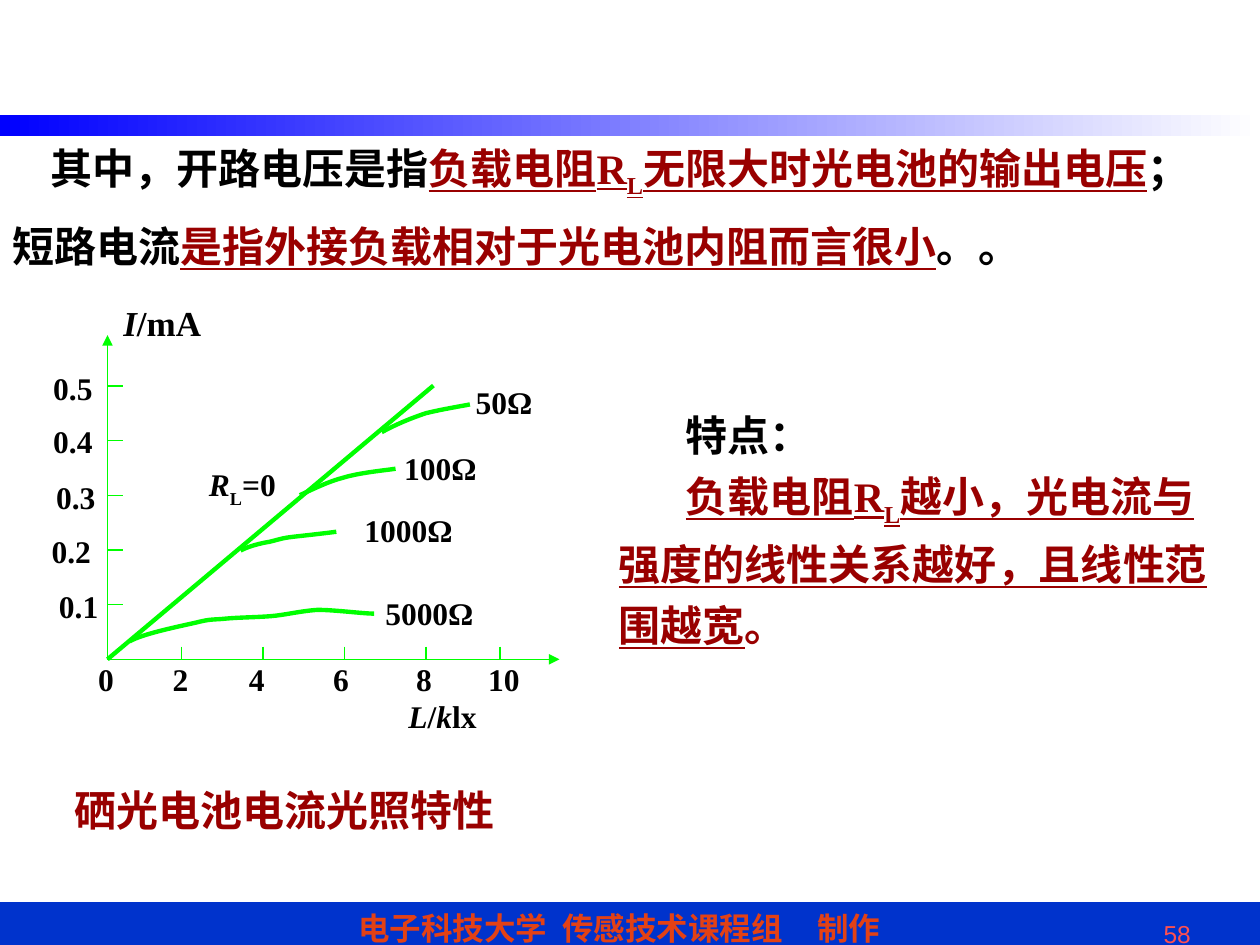
import pptx
import pptx.dml.color
import pptx.enum.dml
import pptx.enum.shapes
import pptx.enum.text
import pptx.oxml.ns
import pptx.util
from lxml import etree

# ---- Content: all lengths are cells of a 100 x 75 grid ----
COLUMNS, ROWS = 100, 75
WIDTH, HEIGHT = pptx.util.Inches(10), pptx.util.Inches(7.5)
COLORS = {"black": "000000", "red": "990000", "green": "00FF00", "blue": "0033CC",
          "bar": "0000FF", "white": "FFFFFF", "footer": "E34115", "number": "FF5050"}
ALIGN = pptx.enum.text.PP_ALIGN
ROMAN, SANS = "Times New Roman", "Arial"

PLAIN = {"name": ROMAN, "size": 18, "bold": True, "color": "black"}
ITALIC = {"italic": True}
LARGE = {"size": 24}
KEY = {"size": 24, "color": "red", "underline": True}
CAPTION = {"size": 24, "name": SANS, "color": "red"}
FOOTER = {"name": SANS, "color": "footer"}
NUMBER = {"name": SANS, "size": 14, "bold": False, "color": "number"}

FOOTER_LINE = [
    ("电子科技大学", FOOTER), (" ", {**FOOTER, "spc": 450}), ("传感技术课程组", FOOTER),
    (" ", {**FOOTER, "spc": 1560}), ("制作", FOOTER),
]
DEFINITIONS = [
    [("其中，开路电压是指", LARGE), ("负载电阻R", KEY), ("L", {**KEY, "baseline": -25000}),
     ("无限大时光电池的输出电压", KEY), ("；", LARGE)],
    [("短路电流", LARGE), ("是指外接负载相对于光电池内阻而言很小", KEY), ("。。", LARGE)],
]
FEATURES = [
    [("特点：", LARGE)],
    [("负载电阻R", KEY), ("L", {**KEY, "baseline": -25000}), ("越小，光电流与", KEY)],
    [("强度的线性关系越好，且线性范", KEY)],
    [("围越宽", KEY), ("。", {**LARGE, "color": "red"})],
]

# Axes of the diagram
ORIGIN, X_END, Y_END = (8.53, 52.33), 44.4, 26.6
Y_STEP, TICK_X, TICK_Y = 4.34, 1.2, 1.0
X_TICKS = [14.4, 20.87, 27.34, 33.82, 39.68]
X_LABELS = [("0", 6.8), ("2", 12.72), ("4", 18.77), ("6", 25.45), ("8", 32.05), ("10", 37.75)]
Y_LABELS = [("0.1", 3.7, 46.1), ("0.2", 3.12, 41.7), ("0.3", 3.47, 37.45),
            ("0.4", 3.24, 33), ("0.5", 3.24, 28.8)]

# Each curve: start point, then control, control, end of every cubic piece
CURVES = [
    [(10.3, 50.9), (11.3, 50.3), (14.3, 49.7), (15.6, 49.4), (16.8, 49.1), (16.9, 49.2),
     (17.9, 49.1), (18.9, 49), (20.2, 49), (21.5, 48.9), (22.7, 48.8), (23.8, 48.5),
     (25.2, 48.4), (26.6, 48.4), (28.8, 48.7), (29.7, 48.7)],
    [(19.1, 43.7), (19.6, 43.4), (20.7, 43.1), (21.4, 43), (22.2, 42.8), (22.4, 42.7),
     (23.3, 42.6), (24.2, 42.5), (26, 42.3), (26.7, 42.2)],
    [(23.8, 39.3), (24.9, 38.8), (26.1, 38.2), (27.3, 37.9), (28.6, 37.5), (30.8, 37.3),
     (31.4, 37.2)],
    [(30.3, 34.3), (31.4, 33.7), (32.6, 33.2), (33.8, 32.8), (35, 32.5), (36.8, 32.2),
     (37.3, 32.1)],
]
PLOT_LABELS = [
    ((8.8, 23.4, 8.5, 4.2), [("I", {"size": 20, **ITALIC}), ("/mA", {"size": 20})]),
    ((31.43, 54.8, 7.5, 3.6), [("L", ITALIC), ("/", {}), ("k", ITALIC), ("lx", {})]),
    ((36.77, 29.94, 13.5, 5.1), [("50Ω", {})]),
    ((31.1, 35.14, 10.4, 3.3), [("100Ω", {})]),
    ((27.94, 40.04, 13.8, 5), [("1000Ω", {})]),
    ((29.6, 46.66, 11, 3.4), [("5000Ω", {})]),
    ((15.6, 36.4, 9.2, 3.8), [("R", ITALIC), ("L", {"baseline": -30000}), ("=0", {})]),
]

deck = pptx.Presentation()
deck.slide_width, deck.slide_height = WIDTH, HEIGHT
page = deck.slides.add_slide(deck.slide_layouts[6])


# ---- Helpers ----
def across(value):
    return round(value * WIDTH / COLUMNS)


def down(value):
    return round(value * HEIGHT / ROWS)


def place(area):
    left, top, width, height = area
    return across(left), down(top), across(width), down(height)


def color(name):
    return pptx.dml.color.RGBColor.from_string(COLORS[name])


def write(box, paragraphs, align=ALIGN.LEFT, indent=0, indented=0, **spacing):
    """Fill a box; the first `indented` paragraphs get a first-line indent."""
    frame = box.text_frame
    frame.word_wrap = True
    frame.vertical_anchor = pptx.enum.text.MSO_ANCHOR.TOP
    for index, spans in enumerate(paragraphs):
        para = frame.add_paragraph() if index else frame.paragraphs[0]
        para.alignment = align
        for key, value in spacing.items():
            if index or key != "space_before":
                setattr(para, key, value)
        if index < indented:
            para._p.get_or_add_pPr().set("indent", str(across(indent)))
        for text, changes in spans:
            span = para.add_run()
            span.text = text
            style = {**PLAIN, **changes}
            span.font.color.rgb = color(style.pop("color"))
            span.font.size = pptx.util.Pt(style.pop("size"))
            for key, value in style.items():
                if key in ("baseline", "spc"):
                    span._r.get_or_add_rPr().set(key, str(value))
                else:
                    setattr(span.font, key, value)


def add_text(area, paragraphs, **layout):
    write(page.shapes.add_textbox(*place(area)), paragraphs, **layout)


def add_bar(area):
    bar = page.shapes.add_shape(pptx.enum.shapes.MSO_SHAPE.RECTANGLE, *place(area))
    bar.shadow.inherit = False
    return bar


def add_line(start, end, weight=0.75, arrow=False):
    line = page.shapes.add_connector(
        pptx.enum.shapes.MSO_CONNECTOR.STRAIGHT,
        across(start[0]), down(start[1]), across(end[0]), down(end[1]))
    line.line.color.rgb = color("green")
    line.line.width = pptx.util.Pt(weight)
    if arrow:
        etree.SubElement(line.line._get_or_add_ln(), pptx.oxml.ns.qn("a:tailEnd"), type="triangle")
    etree.SubElement(line._element.spPr, pptx.oxml.ns.qn("a:effectLst"))


def add_curve(knots):
    """Draw the knots as segments, then join every three into one cubic piece."""
    start, *points = [(across(x), down(y)) for x, y in knots]
    builder = page.shapes.build_freeform(*start)
    builder.add_line_segments(points, close=False)
    curve = builder.convert_to_shape()
    segments = list(curve._element.iter(pptx.oxml.ns.qn("a:lnTo")))
    for first in range(0, len(segments), 3):
        piece = etree.Element(pptx.oxml.ns.qn("a:cubicBezTo"))
        segments[first].addprevious(piece)
        for segment in segments[first:first + 3]:
            piece.append(segment[0])
            segment.getparent().remove(segment)
    curve.shadow.inherit = False
    curve.fill.background()
    curve.line.color.rgb = color("green")
    curve.line.width = pptx.util.Pt(2.5)


# ---- Footer, top bar and page number ----
footer = add_bar((0, 71.65, 100, 4))
footer.fill.solid()
footer.fill.fore_color.rgb = footer.line.color.rgb = color("blue")
footer.line.width = pptx.util.Pt(0.75)
footer.text_frame.margin_right = across(2.7)
write(footer, [FOOTER_LINE], align=ALIGN.CENTER)

top_bar = add_bar((0, 9.1, 100, 1.7))
top_bar.line.fill.background()
top_bar.fill.gradient()
top_bar.fill.gradient_angle = 0
for stop, position, name in zip(top_bar.fill.gradient_stops, (0, 1), ("bar", "white")):
    stop.position = position
    stop.color.rgb = color(name)

add_text((70.5, 72.44, 25, 2.6), [[("58", NUMBER)]], align=ALIGN.RIGHT)

# ---- Definitions ----
add_text((0, 9.9, 100, 12.1), DEFINITIONS, indent=3.04, indented=1,
         line_spacing=1.2, space_before=pptx.util.Pt(6))

# ---- Diagram: axes, ticks, curves, labels ----
x0, y0 = ORIGIN
add_line(ORIGIN, (x0, Y_END), arrow=True)
add_line(ORIGIN, (X_END, y0), arrow=True)
for row, (text, left, top) in enumerate(Y_LABELS, start=1):
    level = y0 - row * Y_STEP
    add_line((x0, level), (x0 + TICK_X, level))
    add_text((left, top, 5.7, 3.5), [[(text, {})]], align=ALIGN.JUSTIFY)
for x in X_TICKS:
    add_line((x, y0 - TICK_Y), (x, y0))
for text, left in X_LABELS:
    add_text((left, 51.9, 3.2 + 1.3 * len(text), 3.4), [[(text, {})]], align=ALIGN.JUSTIFY)

add_line(ORIGIN, (34.4, 30.6), weight=2.5)
for knots in CURVES:
    add_curve(knots)
for area, spans in PLOT_LABELS:
    add_text(area, [spans], align=ALIGN.JUSTIFY)

# ---- Caption and features ----
add_text((4.9, 61.74, 42.8, 5), [[("硒光电池电流光照特性", CAPTION)]])
add_text((48.14, 32.04, 51.8, 24.1), FEATURES, indent=5.3, indented=2,
         space_before=pptx.util.Pt(6))

deck.save("out.pptx")
